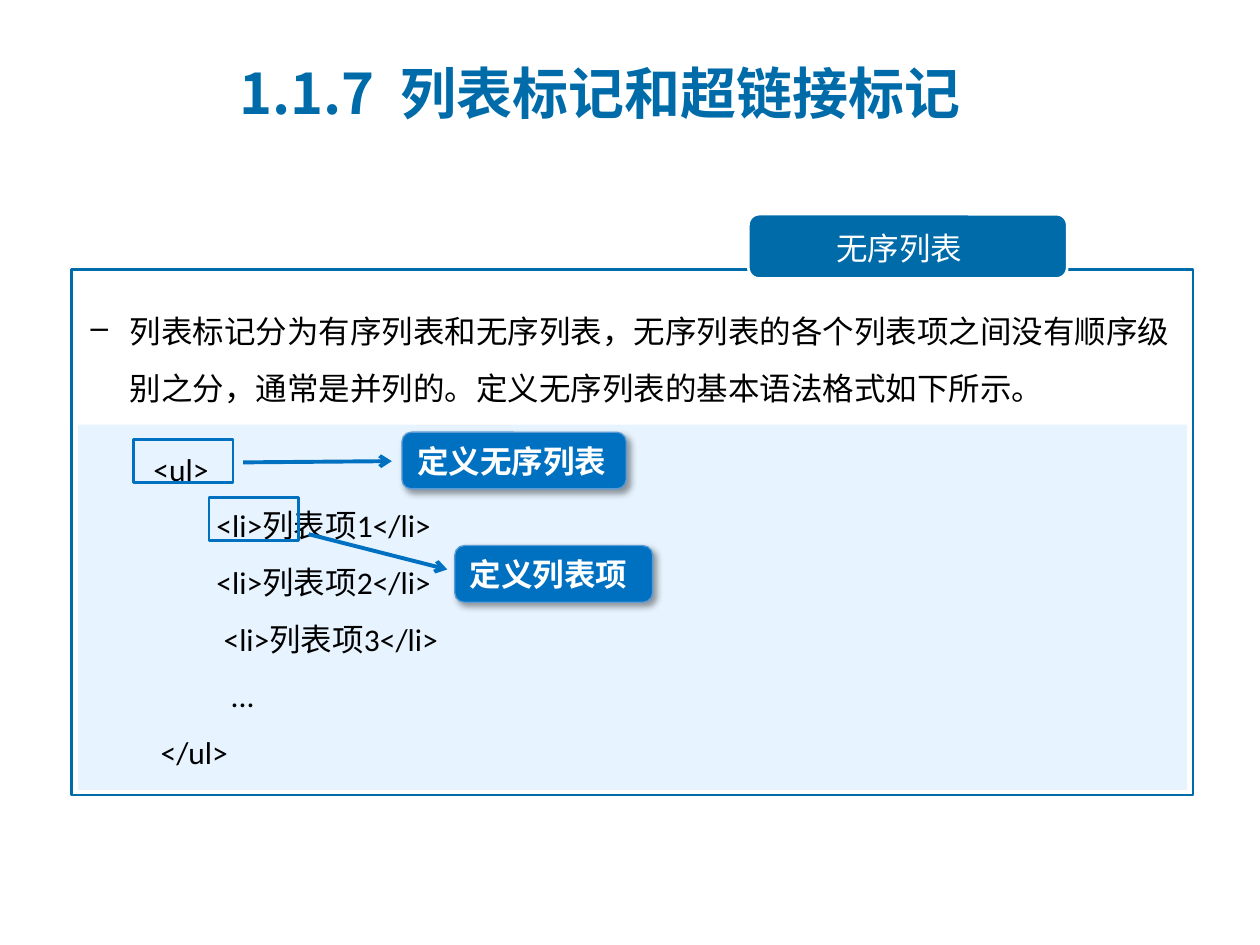
from lxml import etree
from pptx import Presentation
from pptx import util as u
from pptx.dml.color import RGBColor
from pptx.enum import shapes, text
from pptx.oxml import parse_xml
from pptx.oxml.ns import nsdecls, qn

DARK, BLUE, PALE, EDGE, WHITE = "006BA9", "0070C0", "E7F4FF", "5B9BD5", "FFFFFF"
CJK = "Noto Sans CJK SC"
TITLE = "1.1.7  列表标记和超链接标记"
TAB = "无序列表"
INTRO = ("列表标记分为有序列表和无序列表，无序列表的各个列表项之间没有顺序级别之分，"
         "通常是并列的。定义无序列表的基本语法格式如下所示。")
CODE = [
    (1, "<ul>"),
    (2, "<li>列表项1</li>"),
    (2, "<li>列表项2</li>"),
    (2, " <li>列表项3</li>"),
    (2, "  ..."),
    (1, " </ul>"),
]
NOTES = [
    ("定义无序列表", (3.19, 3.43, 1.78, 0.45), (1.06, 3.49, 0.79, 0.34), (1.93, 3.67, 3.11, 3.66)),
    ("定义列表项", (3.61, 4.33, 1.57, 0.45), (1.66, 3.95, 0.71, 0.34), (2.45, 4.24, 3.55, 4.52)),
]
SHADOW = (f'<a:effectLst {nsdecls("a")}><a:outerShdw blurRad="50800" dist="38100" dir="2700000" '
          'algn="tl" rotWithShape="0"><a:srgbClr val="000000"><a:alpha val="40000"/></a:srgbClr>'
          '</a:outerShdw></a:effectLst>')


def rgb(code):
    return RGBColor.from_string(code)


def inch(box):
    return [u.Inches(n) for n in box]


def write(para, words, size=18, font=CJK, color="000000", bold=False,
          level=0, left=0, hang=0, space=None, bullet=None):
    para.alignment = text.PP_ALIGN.LEFT
    para.level = level
    para.line_spacing = space
    props = para._p.get_or_add_pPr()
    props.set("marL", str(u.Inches(left)))
    props.set("indent", str(u.Inches(-hang)))
    if bullet:
        etree.SubElement(props, qn("a:buChar")).set("char", bullet)
    else:
        etree.SubElement(props, qn("a:buNone"))
    run = para.add_run()
    run.text = words
    run.font.size = u.Pt(size)
    run.font.name = font
    run.font.bold = bold
    run.font.color.rgb = rgb(color)
    east = etree.SubElement(run._r.get_or_add_rPr(), qn("a:ea"))
    east.set("typeface", CJK)


def block(slide, box, fill=None, line=None, width=1.5, kind="RECTANGLE"):
    item = slide.shapes.add_shape(shapes.MSO_SHAPE[kind], *inch(box))
    item.shadow.inherit = False
    if fill:
        item.fill.solid()
        item.fill.fore_color.rgb = rgb(fill)
    else:
        item.fill.background()
    if line:
        item.line.color.rgb = rgb(line)
        item.line.width = u.Pt(width)
    else:
        item.line.fill.background()
    item.text_frame.word_wrap = True
    item.text_frame.vertical_anchor = text.MSO_ANCHOR.TOP
    return item


def label(slide, box, wrap=True):
    frame = slide.shapes.add_textbox(*inch(box)).text_frame
    frame.word_wrap = wrap
    return frame.paragraphs[0]


def arrow(slide, ends):
    item = slide.shapes.add_connector(shapes.MSO_CONNECTOR.STRAIGHT, *inch(ends))
    item.line.color.rgb = rgb(BLUE)
    item.line.width = u.Pt(2.25)
    etree.SubElement(item.line._get_or_add_ln(), qn("a:tailEnd")).set("type", "arrow")
    etree.SubElement(item._element.spPr, qn("a:effectLst"))


def note(slide, words, box, mark, ends):
    block(slide, mark, line=BLUE)
    item = block(slide, box, BLUE, EDGE, 0.75, "ROUNDED_RECTANGLE")
    props = item._element.spPr
    props.replace(props.find(qn("a:effectLst")), parse_xml(SHADOW))
    item.text_frame.vertical_anchor = text.MSO_ANCHOR.MIDDLE
    write(item.text_frame.paragraphs[0], words, font="Calibri", color=WHITE, bold=True)
    arrow(slide, ends)


def main():
    deck = Presentation()
    deck.slide_width, deck.slide_height = inch((10, 7.5))
    slide = deck.slides.add_slide(deck.slide_layouts[5])

    title = slide.shapes.title
    title.left, title.top, title.width, title.height = inch((1.8, 0.43, 7.3, 0.61))
    title.text_frame.vertical_anchor = text.MSO_ANCHOR.MIDDLE
    title.text_frame.auto_size = text.MSO_AUTO_SIZE.NONE
    write(title.text_frame.paragraphs[0], TITLE, size=32, color=DARK, bold=True,
          left=0.62, hang=0.62)

    block(slide, (0.57, 2.14, 8.9, 4.17), WHITE, DARK)
    write(label(slide, (0.62, 2.28, 8.79, 1.01)), INTRO, font="Arial",
          left=0.31, hang=0.31, space=1.5, bullet="–")

    frame = block(slide, (0.62, 3.37, 8.8, 2.9), PALE).text_frame
    for row, (level, words) in enumerate(CODE):
        para = frame.add_paragraph() if row else frame.paragraphs[0]
        write(para, words, font="Calibri", level=level, left=level / 2, space=1.5)

    block(slide, (5.94, 1.7, 2.53, 0.51), DARK, WHITE, kind="ROUNDED_RECTANGLE")
    write(label(slide, (6.54, 1.77, 1.21, 0.4), wrap=False), TAB, color=WHITE)

    for item in NOTES:
        note(slide, *item)
    deck.save("out.pptx")


if __name__ == "__main__":
    main()
